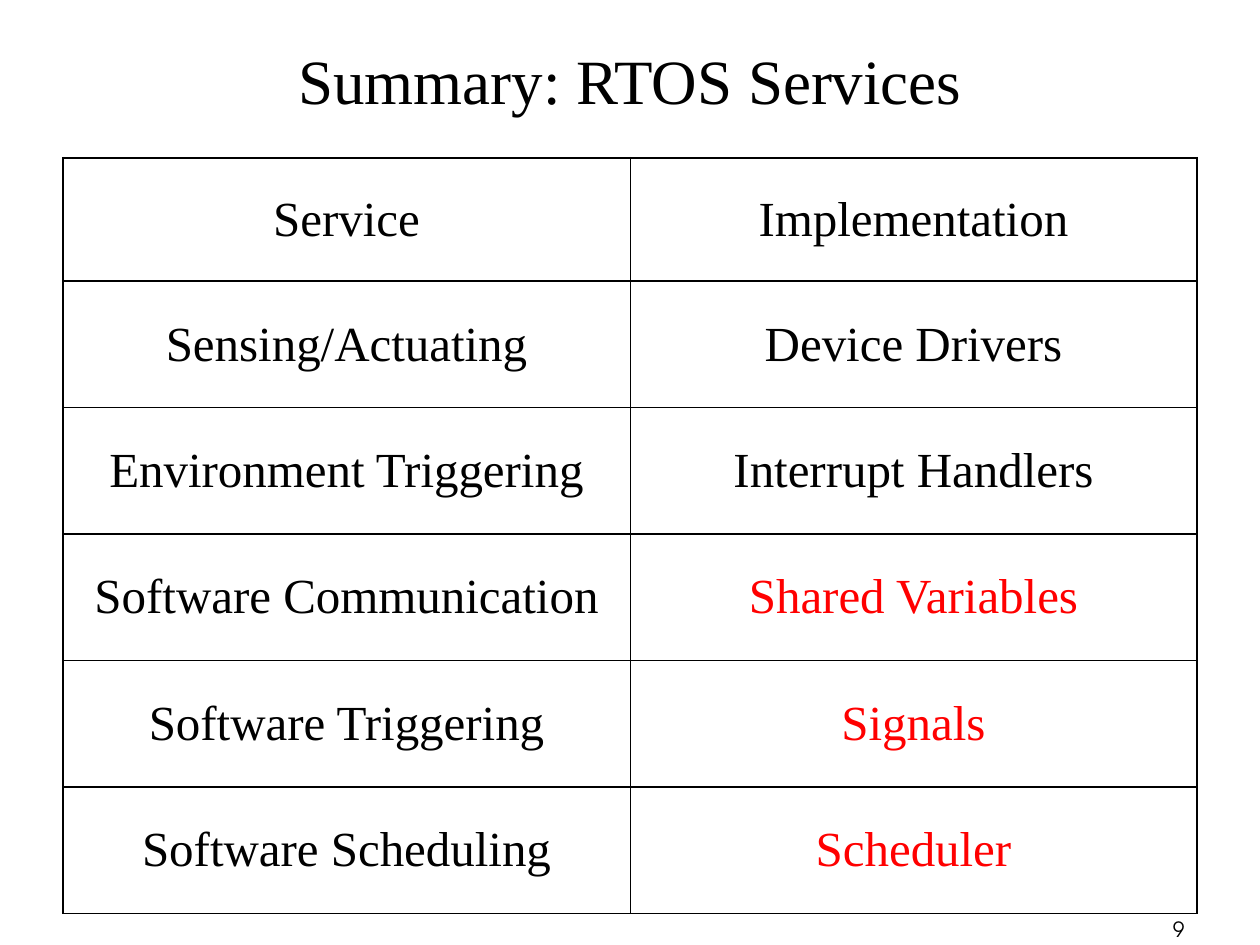
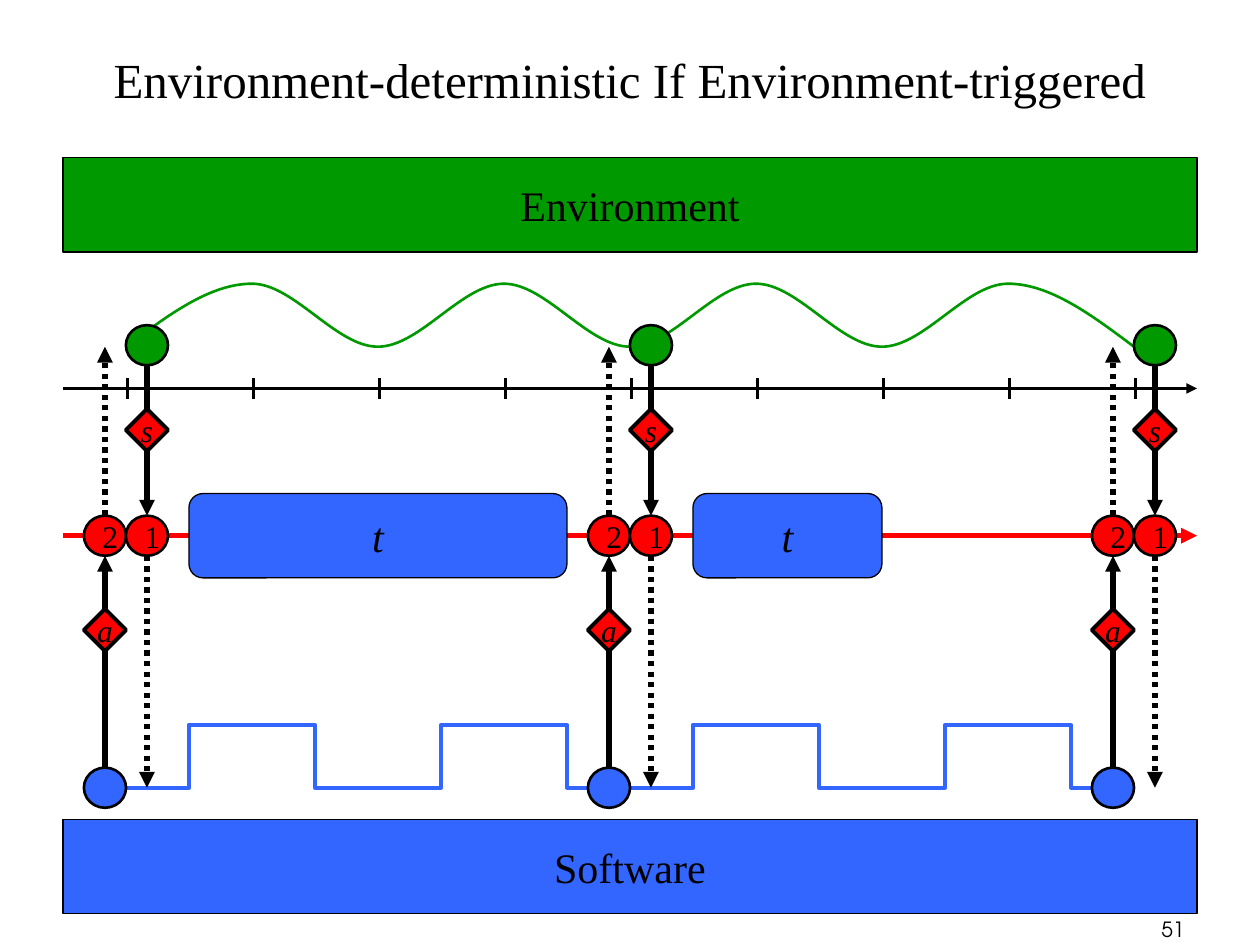
from lxml import etree
from pptx import Presentation
from pptx.dml.color import RGBColor
from pptx.enum.dml import MSO_LINE
from pptx.enum.shapes import MSO_CONNECTOR, MSO_SHAPE
from pptx.enum.text import MSO_ANCHOR, PP_ALIGN
from pptx.oxml.ns import qn
from pptx.util import Cm, Pt

SERIF, SANS = "Times New Roman", "TeX Gyre Adventor"
BLACK, RED, GREEN, BLUE = "000000", "FF0000", "009900", "3366FF"
BODY = (1.27, 3.18, 22.86, 15.24)  # left, top, width, height in cm

SERVICES = [
    ("Service", "Implementation"),
    ("Sensing/Actuating", "Device Drivers"),
    ("Environment Triggering", "Interrupt Handlers"),
    ("Software Communication", "Shared Variables"),
    ("Software Triggering", "Signals"),
    ("Software Scheduling", "Scheduler"),
]
HIGHLIGHTED = {"Shared Variables", "Signals", "Scheduler"}


def rgb(value):
    return RGBColor.from_string(value)


def write(tf, text, size, align=PP_ALIGN.CENTER, font=SERIF, color=BLACK, italic=False):
    p = tf.paragraphs[0]
    p.text = text
    p.alignment = align
    p.font.name, p.font.size = font, Pt(size)
    p.font.color.rgb = rgb(color)
    p.font.italic = italic


def add_text(s, box, text, size, anchor=MSO_ANCHOR.TOP, **style):
    tf = s.shapes.add_textbox(*map(Cm, box)).text_frame
    tf.word_wrap = True
    tf.vertical_anchor = anchor
    write(tf, text, size, **style)


def add_shape(s, kind, box, fill, width, text="", size=18, **style):
    sp = s.shapes.add_shape(kind, *map(Cm, box))
    sp.shadow.inherit = False
    sp.fill.solid()
    sp.fill.fore_color.rgb = rgb(fill)
    sp.line.color.rgb = rgb(BLACK)
    sp.line.width = Pt(width)
    if text:
        sp.text_frame.word_wrap = False
        sp.text_frame.vertical_anchor = MSO_ANCHOR.MIDDLE
        write(sp.text_frame, text, size, **style)


def add_line(shapes, x1, y1, x2, y2, width, color=BLACK, arrow=True, dotted=False):
    line = shapes.add_connector(MSO_CONNECTOR.STRAIGHT, *map(Cm, (x1, y1, x2, y2)))
    line.line.color.rgb = rgb(color)
    line.line.width = Pt(width)
    if dotted:
        line.line.dash_style = MSO_LINE.ROUND_DOT
    spPr = line._element.spPr
    if arrow:
        etree.SubElement(spPr.find(qn("a:ln")), qn("a:tailEnd"), type="triangle")
    etree.SubElement(spPr, qn("a:effectLst"))


def add_outline(s, points, color, width):
    points = [(Cm(x), Cm(y)) for x, y in points]
    builder = s.shapes.build_freeform(*points[0])
    builder.add_line_segments(points[1:], close=False)
    sp = builder.convert_to_shape()
    sp.shadow.inherit = False
    sp.fill.background()
    sp.line.color.rgb = rgb(color)
    sp.line.width = Pt(width)
    return sp


def round_off(sp):
    """Turn the straight segments into curves that are level at inner knots."""
    knots = [(int(pt.get("x")), int(pt.get("y"))) for pt in sp._element.iter(qn("a:pt"))]
    segments = list(sp._element.iter(qn("a:lnTo")))
    for i, segment in enumerate(segments):
        (x1, y1), (x2, y2) = knots[i:i + 2]
        middle = (y1 + y2) // 2
        controls = [
            ((2 * x1 + x2) // 3, middle if i == 0 else y1),
            ((x1 + 2 * x2) // 3, middle if i == len(segments) - 1 else y2),
        ]
        segment.tag = qn("a:cubicBezTo")
        for n, (x, y) in enumerate(controls):
            segment.insert(n, etree.Element(qn("a:pt"), x=str(x), y=str(y)))


def add_frame(prs, title, size, number):
    """Add a slide with its title and page number."""
    s = prs.slides.add_slide(prs.slide_layouts[6])
    add_text(s, (1.9, 0, 21.6, 3.18), title, size, MSO_ANCHOR.MIDDLE)
    add_text(s, (18.85, 18.36, 5.28, 0.64), number, 12, align=PP_ALIGN.RIGHT, font=SANS)
    return s


def set_borders(cell, **widths):
    tcPr = cell._tc.get_or_add_tcPr()
    for side in "LRTB":
        ln = etree.SubElement(tcPr, qn(f"a:ln{side}"), w=str(Pt(widths[side])))
        fill = etree.SubElement(ln, qn("a:solidFill"))
        etree.SubElement(fill, qn("a:srgbClr"), val=BLACK)


def service_table(s, box):
    table = s.shapes.add_table(len(SERVICES), 2, *map(Cm, box)).table
    table.first_row = table.horz_banding = False
    outer, thin, thick = 1.08, 0.45, 1.47
    rules = [outer, thick, thin, thick, thin, thick, outer]
    for i, row in enumerate(SERVICES):
        table.rows[i].height = Cm(2.49 if i == 0 else 2.55)
        for j, text in enumerate(row):
            cell = table.cell(i, j)
            set_borders(cell, L=thin if j else outer, R=outer if j else thin,
                        T=rules[i], B=rules[i + 1])
            cell.fill.background()
            cell.vertical_anchor = MSO_ANCHOR.MIDDLE
            write(cell.text_frame, text, 28, color=RED if text in HIGHLIGHTED else BLACK)


def timing_diagram(s, box):
    left, top, width, height = box
    tick = width / 9
    band_h = 1.9
    sensor_y, axis_y, sense_y, task_y, actuate_y, clock_y = (
        top + y for y in (3.78, 4.65, 5.49, 7.62, 9.52, 12.7))
    node_w, node_h = 0.85, 0.81
    gap = node_h / 2

    def at(ticks):
        return left + ticks * tick

    def node(x, y, fill, text=""):
        add_shape(s, MSO_SHAPE.OVAL, (x - node_w / 2, y - gap, node_w, node_h),
                  fill, 1.5, text, align=PP_ALIGN.LEFT)

    def diamond(x, y, text):
        add_shape(s, MSO_SHAPE.DIAMOND, (x - node_w / 2, y - node_w / 2, node_w, node_w),
                  RED, 2.25, text, italic=True)

    # Task line and time axis
    add_line(s.shapes, left, task_y, left + width, task_y, 3, RED)
    axis = s.shapes.add_group_shape().shapes
    add_line(axis, left, axis_y, left + width, axis_y, 2)
    for i in range(9):
        x = at(i + 0.51)
        add_line(axis, x, axis_y - 0.21, x, axis_y + 0.21, 1.5, arrow=False)

    # Environment and software bands
    for text, fill, y in (("Environment", GREEN, top),
                          ("Software", BLUE, top + height - band_h)):
        add_shape(s, MSO_SHAPE.RECTANGLE, (left, y, width, band_h), fill, 0.75, text, 24)

    # Environment wave and software clock
    wave = [(at(0.5 + i), top + (2.54 if i % 2 else 3.81)) for i in range(9)]
    round_off(add_outline(s, wave, GREEN, 1.5))
    clock = [(at(0.5), clock_y)]
    level, other = clock_y, clock_y - 1.27
    for i in range(8):
        clock += [(at(1 + i), level), (at(1 + i), other)]
        level, other = other, level
    add_outline(s, clock + [(at(8.5), clock_y)], BLUE, 2.25)

    # Tasks
    for start, length in ((1, 3), (5, 1.5)):
        add_shape(s, MSO_SHAPE.FLOWCHART_ALTERNATE_PROCESS,
                  (at(start), task_y - 0.85, length * tick, 1.7),
                  BLUE, 0.75, "t", 24, italic=True)

    # Actuating and sensing in each period
    for start in (0, 4, 8):
        x = at(start + 1 / 3)
        add_line(s.shapes, x, clock_y - gap, x, task_y + gap, 3)
        add_line(s.shapes, x, task_y - gap, x, wave[0][1], 3, dotted=True)
        node(x, task_y, RED, "2")
        node(x, clock_y, BLUE)
        diamond(x, actuate_y, "a")

        x = at(start + 2 / 3)
        add_line(s.shapes, x, sensor_y + gap, x, task_y - gap, 3)
        add_line(s.shapes, x, task_y + gap, x, clock_y, 3, dotted=True)
        node(x, sensor_y, GREEN)
        node(x, task_y, RED, "1")
        diamond(x, sense_y, "s")


def main():
    prs = Presentation()
    prs.slide_width, prs.slide_height = Cm(25.4), Cm(19.05)
    service_table(add_frame(prs, "Summary: RTOS Services", 36, "9"), BODY)
    timing_diagram(add_frame(
        prs, "Environment-deterministic If Environment-triggered", 28, "51"), BODY)
    prs.save("out.pptx")


if __name__ == "__main__":
    main()
